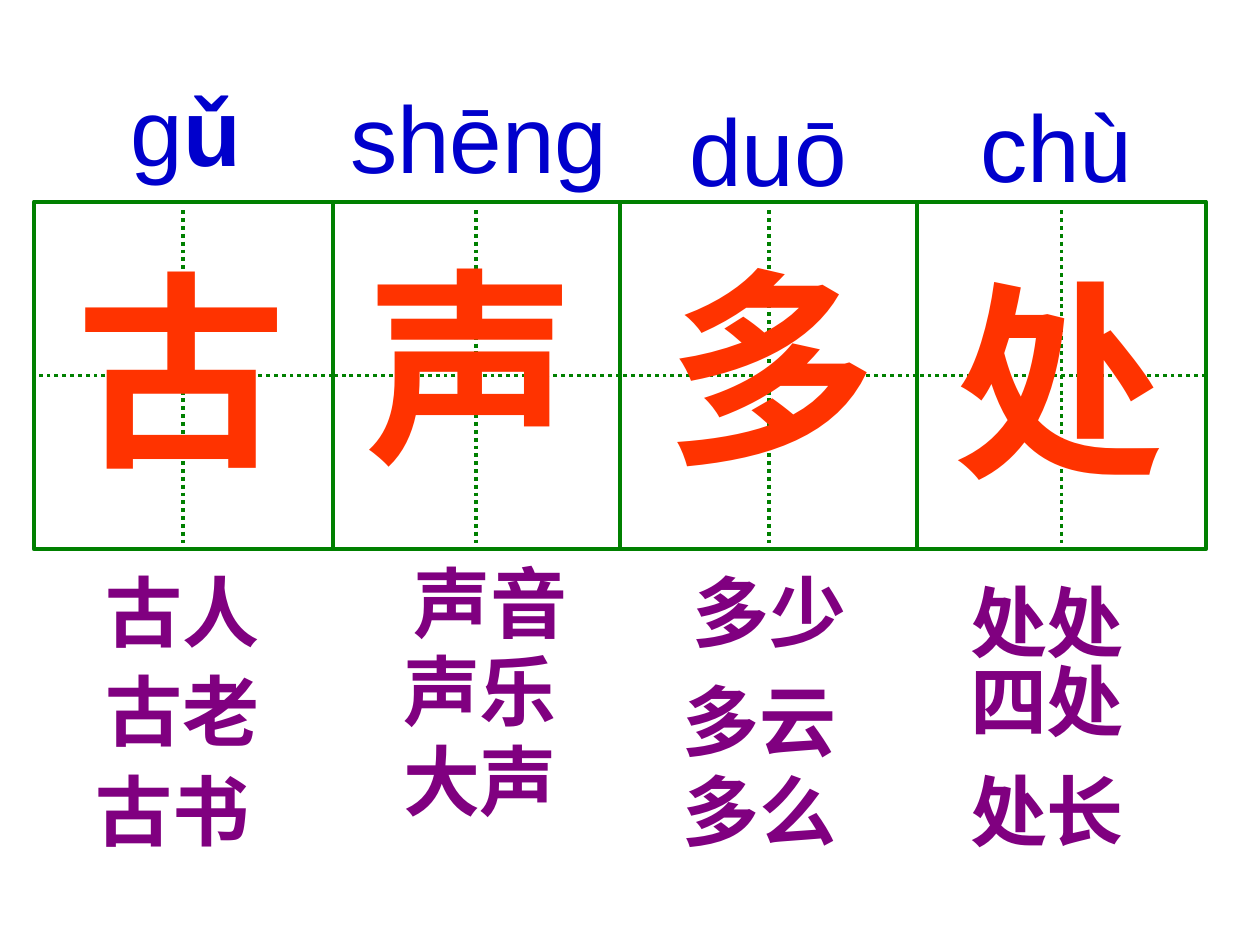
from dataclasses import dataclass
from itertools import pairwise

from lxml.etree import SubElement
from pptx import Presentation
from pptx.dml.color import RGBColor
from pptx.enum.dml import MSO_LINE_DASH_STYLE as Dash
from pptx.enum.shapes import MSO_CONNECTOR as Connector, MSO_SHAPE as Shape
from pptx.enum.text import MSO_AUTO_SIZE as AutoSize
from pptx.oxml.ns import qn
from pptx.util import Inches, Pt

COLORS = {
    "paper": "FFFFFF",
    "grid": "008000",
    "character": "FF3300",
    "pinyin": "0000CC",
    "word": "800080",
}
GRID_COLUMNS, GRID_ROWS = 100, 75
CELL_EDGES = (2.7, 26.4, 49.2, 72.8, 95.7)
CELL_TOP, CELL_HEIGHT = 16, 27.6
GUIDE_TOP = 16.7
WORD_WIDTH, WORD_HEIGHT = 14.2, 8.4
PINYIN_HEIGHT, CHARACTER_HEIGHT = 10, 21


@dataclass(frozen=True)
class Style:
    color: str
    size: int
    font: str
    bold: bool
    wrap: bool


CHARACTER = Style("character", 120, "Times New Roman", True, True)
PINYIN = Style("pinyin", 54, "Arial", False, False)
WORD = Style("word", 44, "Arial", True, False)


@dataclass(frozen=True)
class Label:
    text: str
    left: float
    top: float
    width: float = WORD_WIDTH
    bold_tail: str = ""


@dataclass(frozen=True)
class Lesson:
    character: Label
    pinyin: Label
    words: tuple[Label, ...]


LESSONS = (
    Lesson(
        Label("古", 5.1, 18.6, 19.7),
        Label("g", 9.4, 5.2, 11.2, "ǔ"),
        (Label("古人", 7.4, 44.3), Label("古老", 7.4, 52.2), Label("古书", 6.6, 60.1)),
    ),
    Lesson(
        Label("声", 28, 18.4, 21.8),
        Label("shēnɡ", 26.8, 5.8, 22.4),
        (Label("声音", 31.8, 43.6), Label("声乐", 31, 50.6), Label("大声", 31, 57.7)),
    ),
    Lesson(
        Label("多", 51.9, 18.4, 21.8),
        Label("duō", 53.7, 6.8, 14.5),
        (Label("多少", 54, 44.3), Label("多云", 53.2, 53), Label("多么", 53.2, 60.1)),
    ),
    Lesson(
        Label("处", 74.7, 19.4, 21.8),
        Label("chù", 76.8, 6.5, 14.1),
        (Label("处处", 76, 45.1), Label("四处", 76, 51.4), Label("处长", 76, 60.1)),
    ),
)

deck = Presentation()
deck.slide_width, deck.slide_height = Inches(10), Inches(7.5)
slide = deck.slides.add_slide(deck.slide_layouts[6])


def col(count: float) -> int:
    return round(deck.slide_width * count / GRID_COLUMNS)


def row(count: float) -> int:
    return round(deck.slide_height * count / GRID_ROWS)


def rgb(role: str) -> RGBColor:
    return RGBColor.from_string(COLORS[role])


def draw_guide(cell, start: tuple[int, int], end: tuple[int, int]):
    guide = cell.shapes.add_connector(Connector.STRAIGHT, *start, *end)
    guide.line.color.rgb = rgb("grid")
    guide.line.width = Pt(2.25)
    guide.line.dash_style = Dash.ROUND_DOT
    SubElement(guide._element.spPr, qn("a:effectLst"))
    return guide


def draw_cell(left: float, right: float) -> None:
    cell = slide.shapes.add_group_shape()
    square = cell.shapes.add_shape(
        Shape.RECTANGLE, col(left), row(CELL_TOP), col(right - left), row(CELL_HEIGHT)
    )
    square.shadow.inherit = False
    square.fill.solid()
    square.fill.fore_color.rgb = rgb("paper")
    square.line.color.rgb = rgb("grid")
    square.line.width = Pt(2.25)

    middle_x, middle_y = col((left + right) / 2), row(CELL_TOP + CELL_HEIGHT / 2)
    across = draw_guide(cell, (col(right), middle_y), (col(left), middle_y))
    across.begin_connect(square, 3)
    across.end_connect(square, 1)
    down = draw_guide(
        cell, (middle_x, row(GUIDE_TOP)), (middle_x, row(CELL_TOP + CELL_HEIGHT))
    )
    down.end_connect(square, 2)


def draw_label(label: Label, style: Style, height: float) -> None:
    box = slide.shapes.add_textbox(
        col(label.left), row(label.top), col(label.width), row(height)
    )
    frame = box.text_frame
    frame.word_wrap = style.wrap
    frame.auto_size = AutoSize.SHAPE_TO_FIT_TEXT
    frame.text = label.text
    line = frame.paragraphs[0]
    if label.bold_tail:
        line.add_run().text = label.bold_tail
    for position, run in enumerate(line.runs):
        run.font.name = style.font
        run.font.size = Pt(style.size)
        run.font.bold = style.bold or position > 0
        run.font.color.rgb = rgb(style.color)


def main() -> None:
    for left, right in pairwise(CELL_EDGES):
        draw_cell(left, right)
    for lesson in LESSONS:
        draw_label(lesson.character, CHARACTER, CHARACTER_HEIGHT)
        draw_label(lesson.pinyin, PINYIN, PINYIN_HEIGHT)
        for word in lesson.words:
            draw_label(word, WORD, WORD_HEIGHT)
    deck.save("out.pptx")


if __name__ == "__main__":
    main()
